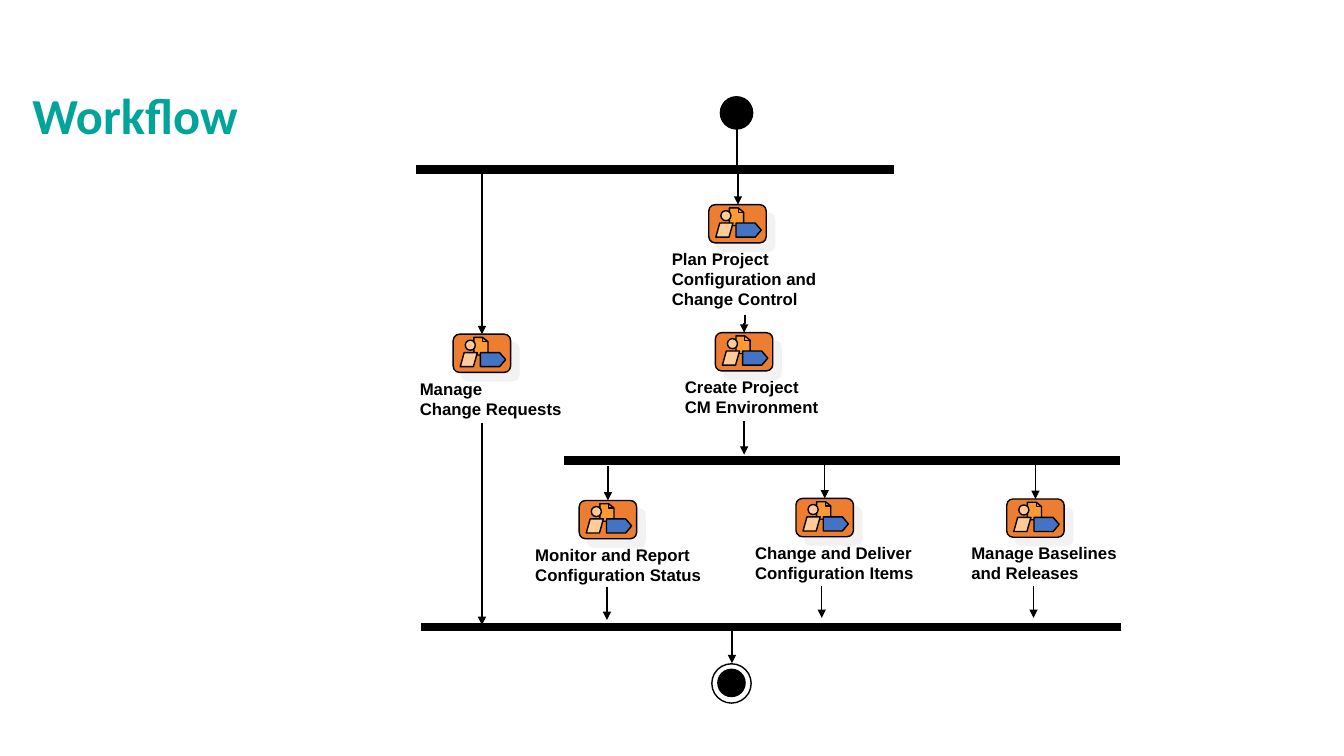
from lxml import etree
from pptx import Presentation
from pptx.dml.color import RGBColor
from pptx.enum.shapes import MSO_CONNECTOR, MSO_SHAPE
from pptx.enum.text import MSO_ANCHOR, MSO_AUTO_SIZE, PP_ALIGN
from pptx.oxml.ns import qn
from pptx.util import Emu, Inches, Pt

STRAIGHT, ELBOW = MSO_CONNECTOR.STRAIGHT, MSO_CONNECTOR.ELBOW
ELLIPSE, ROUNDED = MSO_SHAPE.OVAL, MSO_SHAPE.ROUNDED_RECTANGLE
BODY, TAG = MSO_SHAPE.PARALLELOGRAM, MSO_SHAPE.PENTAGON
BOTTOM, LEFT = MSO_ANCHOR.BOTTOM, PP_ALIGN.LEFT
GROW = MSO_AUTO_SIZE.SHAPE_TO_FIT_TEXT
TITLE_ONLY = 5
TOP_SIDE = 0

COLORS = {
    "title": "00A499", "ink": "000000", "icon": "ED7D31", "sheet": "FF9933",
    "skin": "FFCC99", "tag": "4472C4", "shadow": "E7E6E6",
}
CELL = Inches(0.1)  # the grid: 133.3 columns by 75 rows
ICON_WIDTH, ICON_HEIGHT = 5.7, 3.8

# Activities: icon column and row, label column, row, width, height, lines
ACTIVITIES = {
    "plan": (70.3, 20.3, 65.65, 24.2, 16.4, 7,
             ["Plan Project", "Configuration and", "Change Control"]),
    "create": (70.95, 33, 66.95, 36.9, 15.4, 5, ["Create Project", "CM Environment"]),
    "requests": (44.95, 33.15, 40.65, 37.05, 16.2, 5, ["Manage", "Change Requests"]),
    "monitor": (57.45, 49.65, 52.1, 53.55, 18.7, 5,
                ["Monitor and Report", "Configuration Status"]),
    "deliver": (78.95, 49.45, 73.9, 53.35, 17.9, 5,
                ["Change and Deliver", "Configuration Items"]),
    "baselines": (99.85, 49.5, 95.35, 53.35, 16.6, 5,
                  ["Manage Baselines", "and Releases"]),
}
# Synchronisation bars: first column, last column, row
BARS = [(41.3, 88.7, 16.8), (55.95, 111.05, 45.7), (41.8, 111.2, 62.2)]
# Arrows from a bar down to an activity: activity, starting row
ENTRIES = [("requests", 17.3), ("monitor", 46.2), ("deliver", 46), ("baselines", 46)]
# Free arrows: column, first row, last row
EXITS = [(73.8, 41.8, 45.1), (47.8, 42, 62), (60.2, 58.2, 61.5),
         (81.5, 58.1, 61.3), (102.5, 58.1, 61.3), (72.6, 62.5, 65.8)]
# Stepped arrows: start column and row, end column and row
STEPS = [(73.1, 12.8, 73.2, 20.3), (73.9, 31.2, 73.8, 33)]


def cells(count):
    return Emu(round(count * CELL))


def color(name):
    return RGBColor.from_string(COLORS[name])


class Workflow:
    def __init__(self, page):
        self.page = page
        self.shapes = page.shapes

    def style(self, span, font, size, ink):
        span.font.name, span.font.size, span.font.bold = font, Pt(size), True
        span.font.color.rgb = color(ink)

    def paint(self, shape, fill):
        shape.shadow.inherit = False
        if fill:
            shape.fill.solid()
            shape.fill.fore_color.rgb = color(fill)
        else:
            shape.fill.background()
        shape.line.color.rgb = color("ink")
        shape.line.width = Pt(1)

    def title(self, text, left, top, width, height):
        box = self.shapes.title
        box.left, box.top = cells(left), cells(top)
        box.width, box.height = cells(width), cells(height)
        frame = box.text_frame
        frame.text = text
        frame.vertical_anchor = BOTTOM
        para = frame.paragraphs[0]
        para.alignment, para.line_spacing = LEFT, 0.9
        self.style(para.runs[0], "Calibri", 36, "title")

    def label(self, left, top, width, height, lines):
        box = self.shapes.add_textbox(cells(left), cells(top), cells(width), cells(height))
        frame = box.text_frame
        frame.text = "\n".join(lines)
        frame.word_wrap, frame.auto_size = False, GROW
        for para in frame.paragraphs:
            para.alignment = LEFT
            self.style(para.runs[0], "Arial", 12, "ink")

    def preset(self, shapes, kind, left, top, width, height, fill, adjust=None):
        shape = shapes.add_shape(
            kind, cells(left), cells(top), cells(width), cells(height))
        if adjust is not None:
            shape.adjustments[0] = adjust
        self.paint(shape, fill)
        return shape

    def mark(self, left, top, size, fill=None):
        self.preset(self.shapes, ELLIPSE, left, top, size, size, fill)

    def outline(self, shapes, points, fill=None):
        corners = [(cells(x), cells(y)) for x, y in points]
        builder = shapes.build_freeform(*corners[0], scale=1.0)
        builder.add_line_segments(corners[1:], close=bool(fill))
        self.paint(builder.convert_to_shape(), fill)

    def drop_shadow(self, shape):
        effects = shape._element.spPr.find(qn("a:effectLst"))
        shadow = etree.SubElement(effects, qn("a:outerShdw"), dist=str(Pt(8.5)),
                                  dir="2700000", algn="ctr", rotWithShape="0")
        tint = etree.SubElement(shadow, qn("a:srgbClr"), val=COLORS["shadow"])
        etree.SubElement(tint, qn("a:alpha"), val="50000")

    def icon(self, x, y):
        shapes = self.shapes.add_group_shape().shapes
        frame = self.preset(shapes, ROUNDED, x, y, ICON_WIDTH, ICON_HEIGHT, "icon", 0.167)
        self.drop_shadow(frame)
        # Sheet with a folded corner
        left, top, right, bottom = x + 2.05, y + 0.33, x + 3.45, y + 2.07
        fold = [(right - 0.53, top), (right - 0.53, top + 0.42), (right, top + 0.42)]
        self.outline(shapes, [(left, top), (left, bottom), (right, bottom),
                              fold[2], fold[0]], "sheet")
        self.outline(shapes, fold)
        # Worker and task tag
        self.preset(shapes, BODY, x + 0.7, y + 1.83, 1.7, 1.4, "skin", 0.279)
        self.preset(shapes, ELLIPSE, x + 1.2, y + 0.6, 1, 1, "skin")
        self.preset(shapes, TAG, x + 2.7, y + 1.83, 2.5, 1.4, "tag", 0.427)
        return frame

    def line(self, x1, y1, x2, y2, weight=1, kind=STRAIGHT, arrow=False):
        line = self.shapes.add_connector(kind, cells(x1), cells(y1), cells(x2), cells(y2))
        line.line.color.rgb = color("ink")
        line.line.width = Pt(weight)
        properties = line._element.spPr
        if arrow:
            etree.SubElement(properties.find(qn("a:ln")), qn("a:tailEnd"), type="triangle")
        etree.SubElement(properties, qn("a:effectLst"))
        return line

    def step(self, x1, y1, x2, y2):
        # Lay the elbow sideways around its centre, then turn it downwards
        x, y = (x1 + x2) / 2, (y1 + y2) / 2
        half_run, half_shift = (y2 - y1) / 2, (x2 - x1) / 2
        line = self.line(x - half_run, y + half_shift, x + half_run, y - half_shift,
                         kind=ELBOW, arrow=True)
        line._element.spPr.find(qn("a:xfrm")).set("rot", "5400000")


def main():
    deck = Presentation()
    deck.slide_width, deck.slide_height = Inches(13.33), Inches(7.5)
    page = deck.slides.add_slide(deck.slide_layouts[TITLE_ONLY])
    flow = Workflow(page)
    flow.title("Workflow", 2.2, 7.2, 129, 7.7)

    # Start and end marks
    flow.mark(71.45, 9.6, 3.2, "ink")
    flow.mark(71.2, 66.4, 2.7, "ink")
    flow.mark(70.6, 65.85, 3.9)

    # Synchronisation bars
    for first, last, row in BARS:
        flow.line(first, row, last, row, weight=6)

    # Activities
    icons = {}
    for name, (x, y, *label) in ACTIVITIES.items():
        icons[name] = flow.icon(x, y)
        flow.label(*label)

    # Arrows
    for name, row in ENTRIES:
        x, y = ACTIVITIES[name][:2]
        middle = x + ICON_WIDTH / 2
        arrow = flow.line(middle, row, middle, y, arrow=True)
        arrow.end_connect(icons[name], TOP_SIDE)
    for column, first, last in EXITS:
        flow.line(column, first, column, last, arrow=True)
    for ends in STEPS:
        flow.step(*ends)

    deck.save("out.pptx")


if __name__ == "__main__":
    main()
